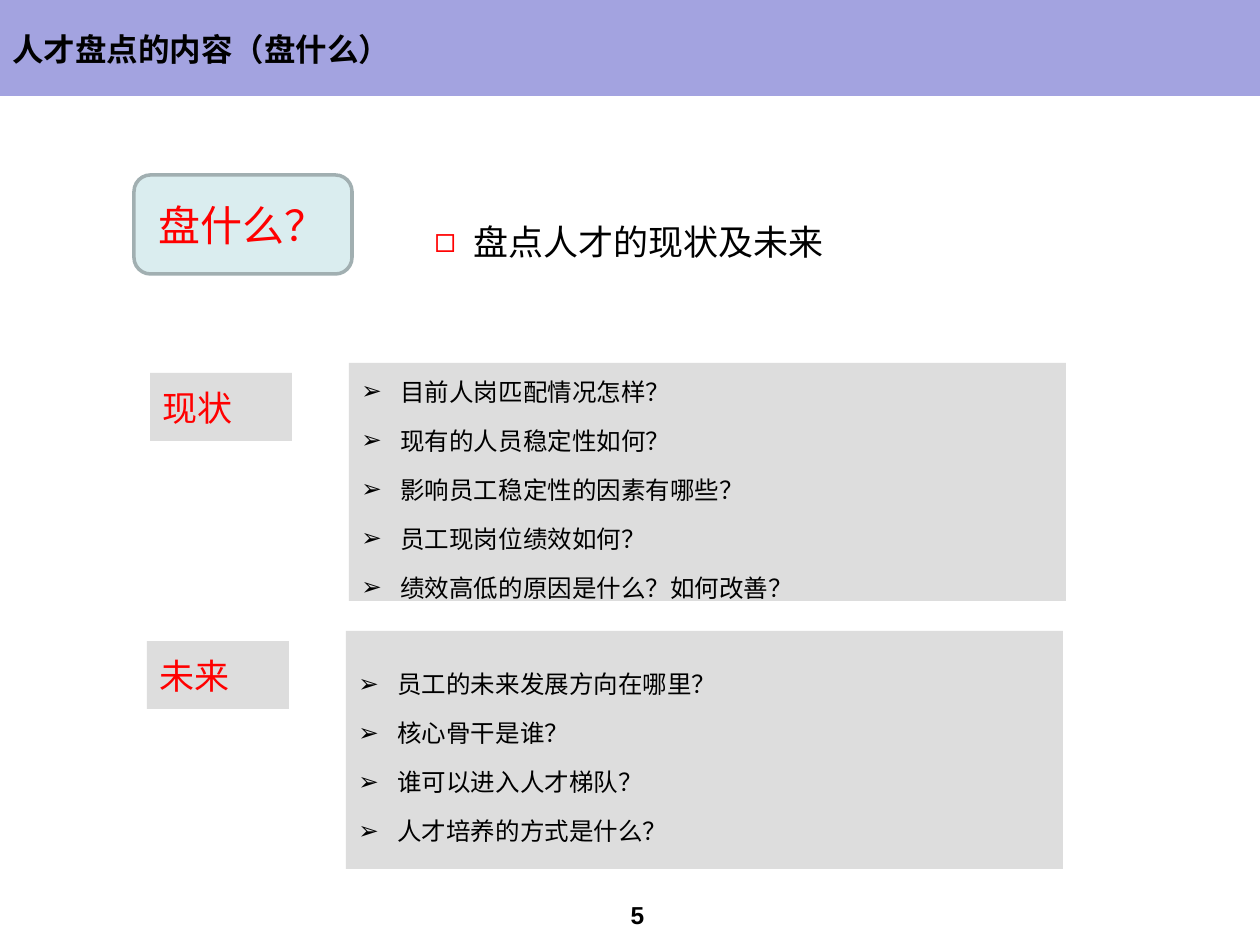
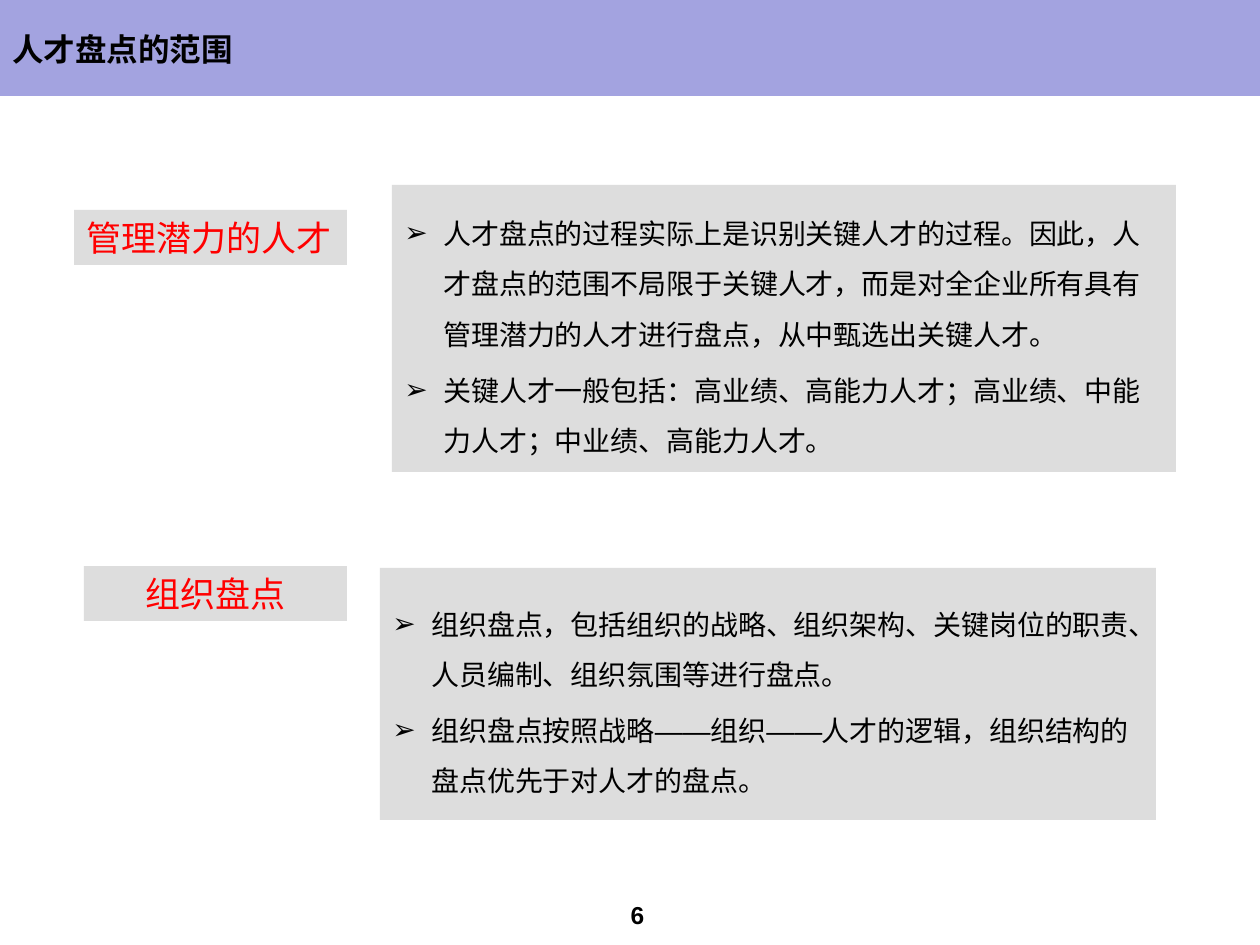
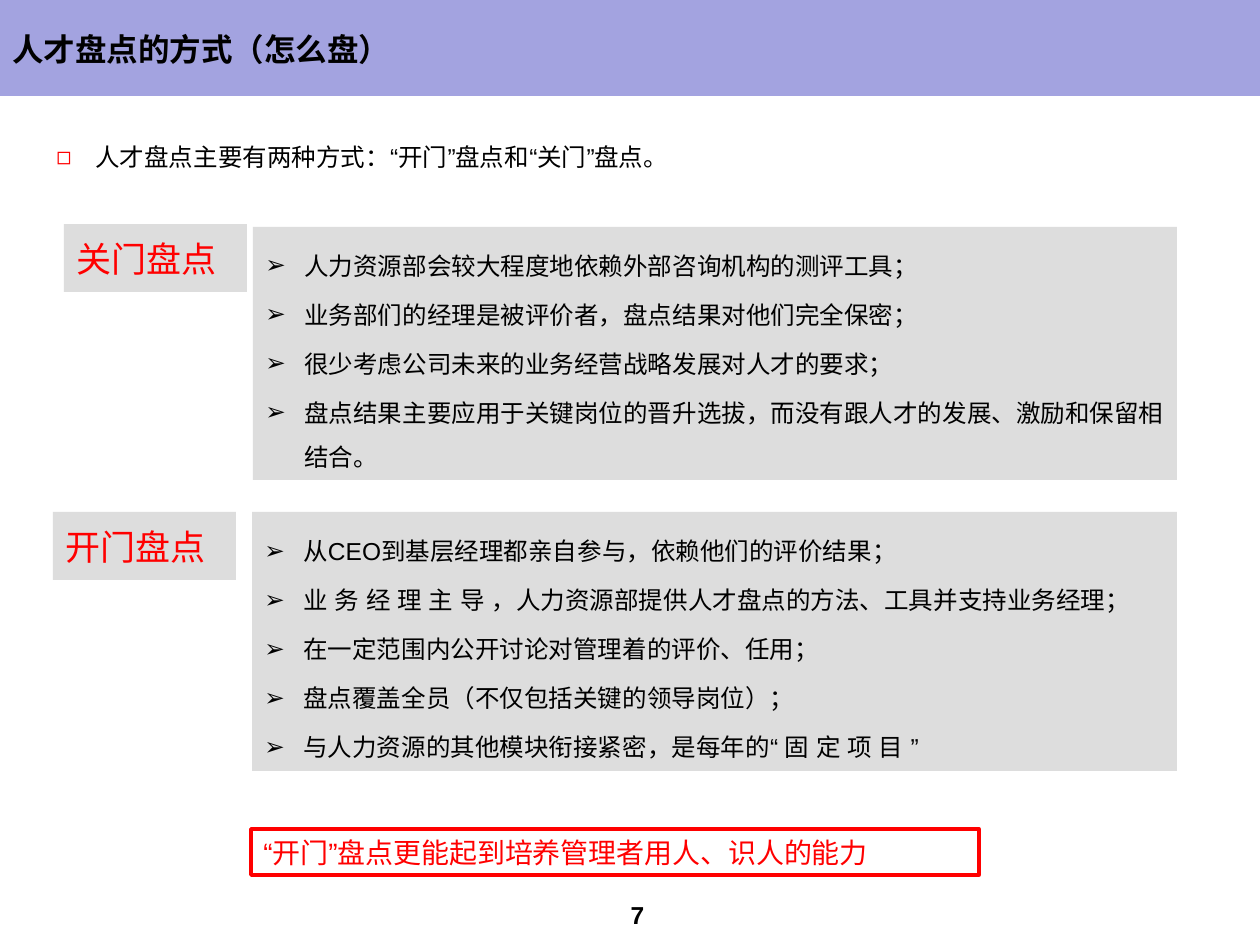
from lxml import etree
from pptx import Presentation
from pptx.dml.color import RGBColor
from pptx.enum.shapes import MSO_SHAPE as Shape
from pptx.enum.text import MSO_ANCHOR as Anchor, PP_ALIGN as Align
from pptx.oxml.ns import qn
from pptx.util import Pt

EMU_PER_PX = 914400 / 126
WIDTH, HEIGHT = 1260, 945
BODY_FONT, TITLE_FONT = "Arial", "Noto Sans CJK SC"

BLACK = RGBColor(0x00, 0x00, 0x00)
WHITE = RGBColor(0xFF, 0xFF, 0xFF)
RED = RGBColor(0xFF, 0x00, 0x00)
BAND = RGBColor(0xA3, 0xA3, 0xE0)
GREY = RGBColor(0xDD, 0xDD, 0xDD)
PALE_TEAL = RGBColor(0xDA, 0xED, 0xEF)
TEAL_GREY = RGBColor(0xA1, 0xAF, 0xB1)

ARROW, SQUARE = "➢", "◻"
INDENT = 39
FIRST_PAGE = 5


def px(n):
    return round(n * EMU_PER_PX)


def add_bullet(p, char, color):
    pPr = p._p.get_or_add_pPr()
    pPr.set("marL", str(px(INDENT)))
    pPr.set("indent", str(-px(INDENT)))
    clr = etree.SubElement(pPr, qn("a:buClr"))
    etree.SubElement(clr, qn("a:srgbClr"), val=str(color))
    etree.SubElement(pPr, qn("a:buFont"), typeface=BODY_FONT)
    etree.SubElement(pPr, qn("a:buChar"), char=char)


def write(s, lines, size, color=BLACK, font=BODY_FONT, bold=False,
          anchor=Anchor.MIDDLE, bullet=None, bullet_color=BLACK, **para_format):
    """Fill a shape with one paragraph per line, all in the same format."""
    tf = s.text_frame
    tf.word_wrap = True
    tf.vertical_anchor = anchor
    para_format = {"alignment": Align.LEFT, **para_format}
    run_format = {"name": font, "size": Pt(size), "bold": bold}
    for i, line in enumerate(lines):
        p = tf.add_paragraph() if i else tf.paragraphs[0]
        for key, value in para_format.items():
            setattr(p, key, value)
        if bullet:
            add_bullet(p, bullet, bullet_color)
        r = p.add_run()
        r.text = line
        for key, value in run_format.items():
            setattr(r.font, key, value)
        r.font.color.rgb = color
        etree.SubElement(r._r.get_or_add_rPr(), qn("a:ea"), typeface=font)


def add_box(slide, box, fill=GREY, line=None, kind=Shape.RECTANGLE):
    s = slide.shapes.add_shape(kind, *map(px, box))
    s.shadow.inherit = False
    s.fill.solid()
    s.fill.fore_color.rgb = fill
    if line is None:
        s.line.fill.background()
    else:
        s.line.color.rgb = line
        s.line.width = Pt(2)
    return s


def add_text(slide, box, lines, size, **style):
    write(slide.shapes.add_textbox(*map(px, box)), lines, size, **style)


def add_label(slide, box, text, alignment=Align.LEFT):
    write(add_box(slide, box), [text], 20, color=RED,
          alignment=alignment, space_before=Pt(4))


def add_panel(slide, box, lines, size=14):
    write(add_box(slide, box), lines, size, bullet=ARROW,
          line_spacing=1.5, space_before=Pt(size * 0.2))


def add_statement(slide, box, text, size):
    add_text(slide, box, [text], size, anchor=Anchor.TOP, bullet=SQUARE,
             bullet_color=RED, line_spacing=1.5)


def add_page(prs, title):
    """Add a slide with the title band and the page number."""
    slide = prs.slides.add_slide(prs.slide_layouts[6])
    page = FIRST_PAGE + len(prs.slides) - 1
    add_box(slide, (0, 0, WIDTH, 96), fill=BAND)
    add_text(slide, (591, 893, 93, 44), [str(page)], 14, bold=True,
             alignment=Align.CENTER, space_before=Pt(7))
    add_text(slide, (0, 10, 1218, 78), [title], 18, font=TITLE_FONT, bold=True)
    return slide


def build_content(prs):
    slide = add_page(prs, "人才盘点的内容（盘什么）")
    question = add_box(slide, (134, 175, 218, 99), PALE_TEAL, TEAL_GREY,
                       Shape.ROUNDED_RECTANGLE)
    write(question, ["盘什么？"], 24, color=RED, alignment=Align.CENTER)
    add_statement(slide, (422, 193, 466, 68), "盘点人才的现状及未来", 20)
    add_panel(slide, (349, 363, 717, 238), [
        "目前人岗匹配情况怎样？",
        "现有的人员稳定性如何？",
        "影响员工稳定性的因素有哪些？",
        "员工现岗位绩效如何？",
        "绩效高低的原因是什么？如何改善？",
    ])
    add_label(slide, (150, 373, 142, 68), "现状")
    add_panel(slide, (346, 631, 717, 238), [
        "员工的未来发展方向在哪里？",
        "核心骨干是谁？",
        "谁可以进入人才梯队？",
        "人才培养的方式是什么？",
    ])
    add_label(slide, (147, 641, 142, 68), "未来")


def build_scope(prs):
    slide = add_page(prs, "人才盘点的范围")
    add_label(slide, (74, 210, 273, 55), "管理潜力的人才")
    add_panel(slide, (392, 185, 784, 287), [
        "人才盘点的过程实际上是识别关键人才的过程。因此，人才盘点的范围不局限于关键人才，"
        "而是对全企业所有具有管理潜力的人才进行盘点，从中甄选出关键人才。",
        "关键人才一般包括：高业绩、高能力人才；高业绩、中能力人才；中业绩、高能力人才。",
    ], 16)
    add_label(slide, (84, 566, 263, 55), "组织盘点", Align.CENTER)
    add_panel(slide, (380, 568, 776, 252), [
        "组织盘点，包括组织的战略、组织架构、关键岗位的职责、人员编制、组织氛围等进行盘点。",
        "组织盘点按照战略——组织——人才的逻辑，组织结构的盘点优先于对人才的盘点。",
    ], 16)


def build_method(prs):
    slide = add_page(prs, "人才盘点的方式（怎么盘）")
    add_statement(slide, (44, 121, 1142, 52),
                  "人才盘点主要有两种方式：“开门”盘点和“关门”盘点。", 14)
    add_panel(slide, (253, 227, 924, 253), [
        "人力资源部会较大程度地依赖外部咨询机构的测评工具；",
        "业务部们的经理是被评价者，盘点结果对他们完全保密；",
        "很少考虑公司未来的业务经营战略发展对人才的要求；",
        "盘点结果主要应用于关键岗位的晋升选拔，而没有跟人才的发展、激励和保留相结合。",
    ])
    add_label(slide, (64, 224, 183, 68), "关门盘点")
    add_panel(slide, (252, 512, 925, 259), [
        "从CEO到基层经理都亲自参与，依赖他们的评价结果；",
        "业 务 经 理 主 导 ，人力资源部提供人才盘点的方法、工具并支持业务经理；",
        "在一定范围内公开讨论对管理着的评价、任用；",
        "盘点覆盖全员（不仅包括关键的领导岗位）；",
        "与人力资源的其他模块衔接紧密，是每年的“ 固 定 项 目 ”",
    ])
    add_label(slide, (53, 512, 183, 68), "开门盘点")
    conclusion = add_box(slide, (251, 829, 728, 46), WHITE, RED)
    write(conclusion, ["“开门”盘点更能起到培养管理者用人、识人的能力"], 16,
          color=RED, anchor=Anchor.TOP)


def main():
    prs = Presentation()
    prs.slide_width, prs.slide_height = px(WIDTH), px(HEIGHT)
    build_content(prs)
    build_scope(prs)
    build_method(prs)
    prs.save("out.pptx")


if __name__ == "__main__":
    main()
